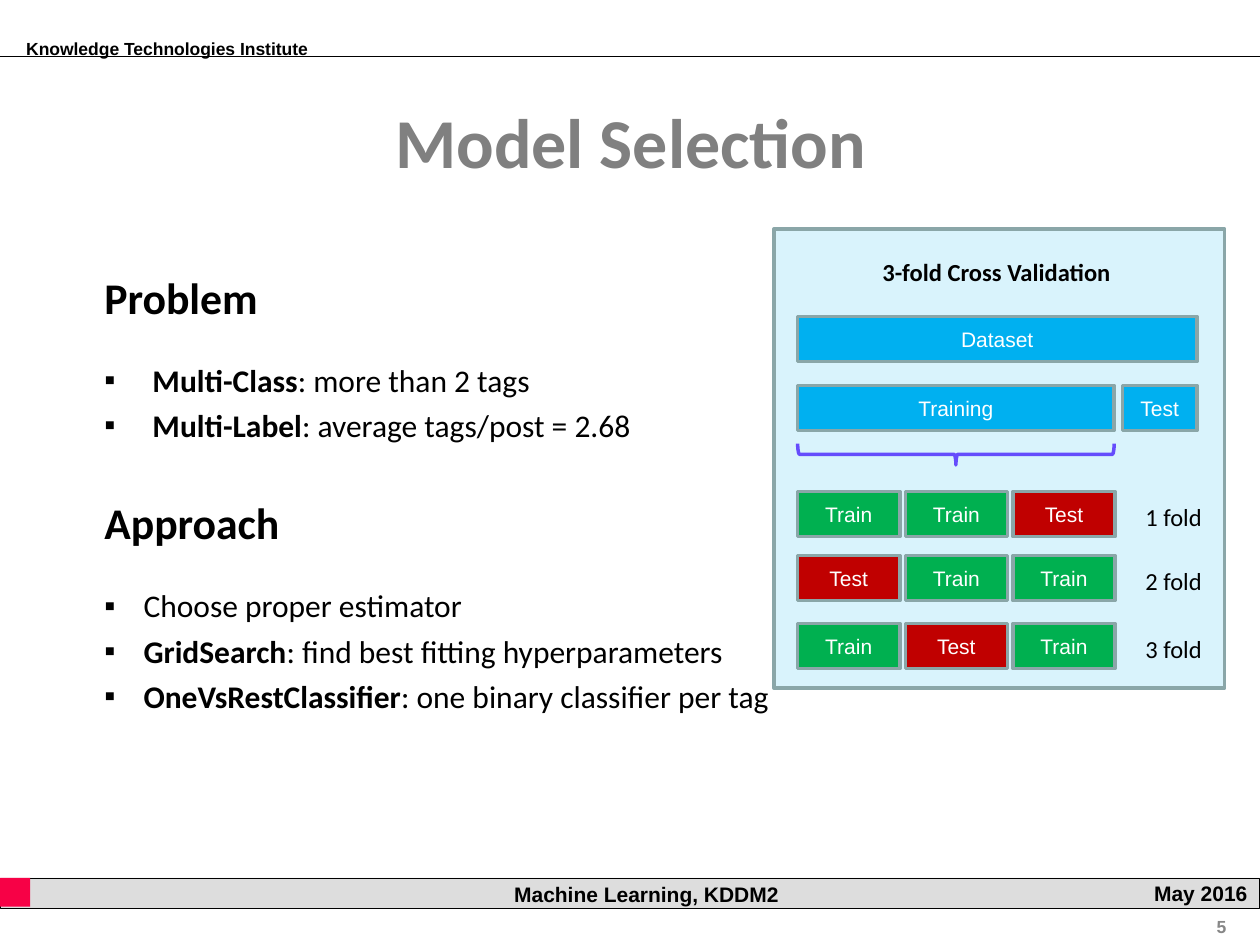
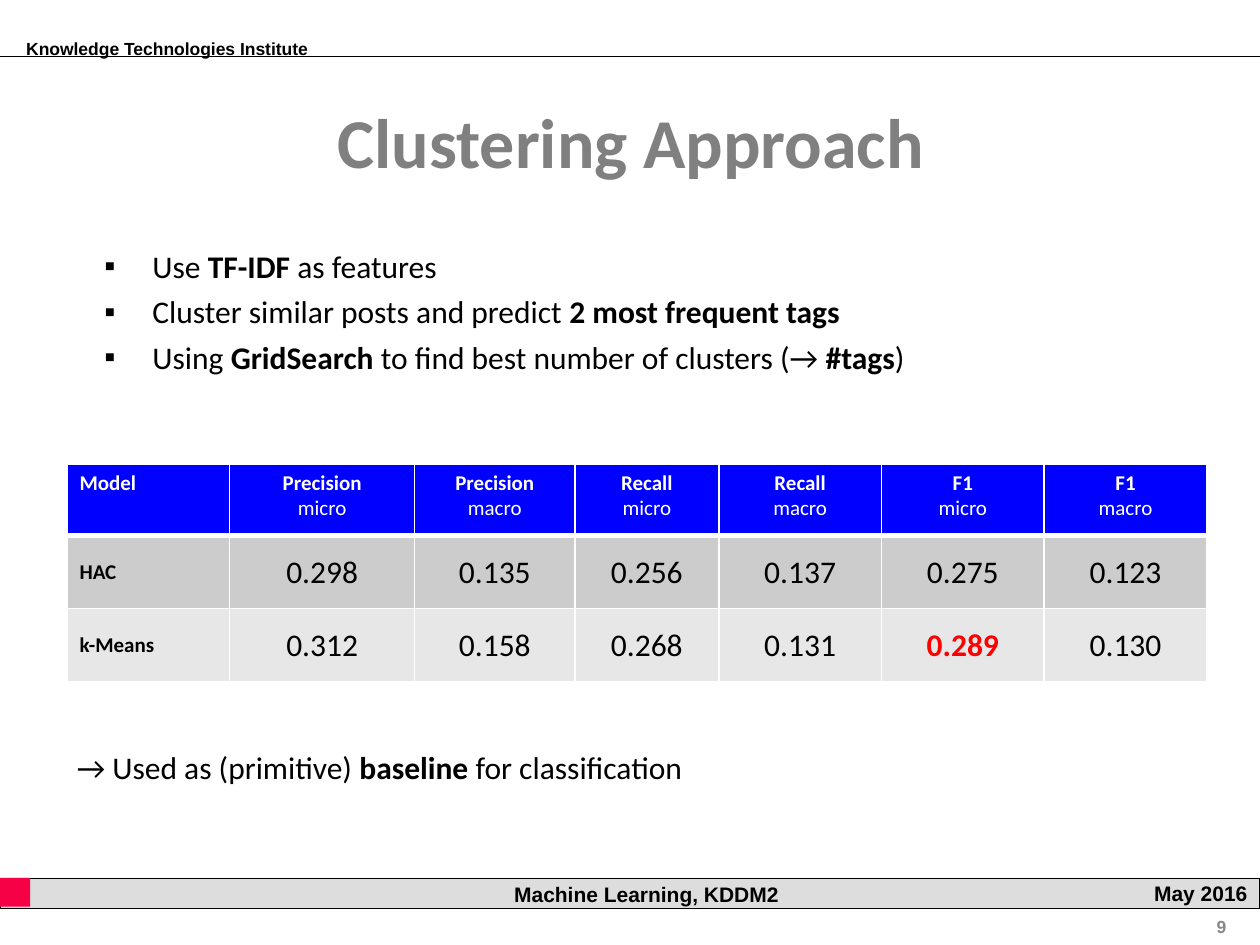
from dataclasses import dataclass
from typing import NamedTuple, Optional

from lxml import etree
from pptx import Presentation
from pptx.dml.color import RGBColor
from pptx.enum.shapes import MSO_CONNECTOR, MSO_SHAPE
from pptx.enum.text import MSO_ANCHOR, MSO_AUTO_SIZE, PP_ALIGN
from pptx.oxml.ns import qn
from pptx.util import Cm, Pt

RECTANGLE, BRACE = MSO_SHAPE.RECTANGLE, MSO_SHAPE.RIGHT_BRACE
LEFT, CENTER, RIGHT = PP_ALIGN.LEFT, PP_ALIGN.CENTER, PP_ALIGN.RIGHT
TOP, MIDDLE = MSO_ANCHOR.TOP, MSO_ANCHOR.MIDDLE


@dataclass(frozen=True)
class Theme:
    heading_font: str = "Calibri"
    label_font: str = "Arial"
    black: str = "000000"
    white: str = "FFFFFF"
    title: str = "808080"
    page_number: str = "878787"
    band: str = "DDDDDD"
    accent: str = "F70146"
    data: str = "00B0F0"
    train: str = "00B050"
    test: str = "C00000"
    outline: str = "8AA6A8"
    brace: str = "654CFC"
    table_head: str = "0000FF"
    table_rows: tuple[str, ...] = ("CCCCCC", "E7E7E7")
    best: str = "FF0000"
    title_size: int = 40
    heading_size: int = 25
    body_size: int = 18
    caption_size: int = 14
    label_size: int = 12
    small_size: int = 10


THEME = Theme()


class Frame(NamedTuple):
    """Left, top, width and height in centimetres."""
    left: float
    top: float
    width: float
    height: float

    def lengths(self) -> tuple:
        return tuple(Cm(value) for value in self)


class Style(NamedTuple):
    size: int
    color: str = THEME.black
    bold: bool = False
    font: str = THEME.heading_font
    align: PP_ALIGN = LEFT
    spacing: float = 1.0


class ListItem(NamedTuple):
    text: str
    indent: float = 0.97
    spacing: float = 1.2
    size: int = THEME.body_size
    space_before: int = 0


class Block(NamedTuple):
    text: str
    frame: Frame
    fill: str


LABEL = Style(THEME.label_size, bold=True, font=THEME.label_font)
BLOCK = LABEL._replace(color=THEME.white, bold=False, align=CENTER)
CAPTION = Style(THEME.caption_size, align=CENTER, spacing=1.2)
TITLE = Style(THEME.title_size, THEME.title, True, align=CENTER)
BODY = Style(THEME.body_size)

# Cross validation diagram
DIAGRAM_LEFT = 16.08
BLOCK_HEIGHT = 0.91
TRAINING = Frame(DIAGRAM_LEFT, 7.77, 6.38, BLOCK_HEIGHT)
SIDE_LEFT = 22.63
FOLD_WIDTH, FOLD_PITCH = 2.06, 2.17
FOLD_TOPS = (9.91, 11.2, 12.57)
FOLDS = (("Train", "Train", "Test"), ("Test", "Train", "Train"), ("Train", "Test", "Train"))
FOLD_FILLS = {"Train": THEME.train, "Test": THEME.test}
DATA_BLOCKS = (
    Block("Dataset", Frame(DIAGRAM_LEFT, 6.38, 8.05, BLOCK_HEIGHT), THEME.data),
    Block("Training", TRAINING, THEME.data),
    Block("Test", Frame(SIDE_LEFT, TRAINING.top, 1.5, BLOCK_HEIGHT), THEME.data),
)

# List and table content; ** switches bold on and off
SELECTION_ITEMS = (
    ListItem("**Problem**", 0, size=THEME.heading_size),
    ListItem("**Multi-Class**: more than 2 tags", spacing=2),
    ListItem("**Multi-Label**: average tags/post = 2.68"),
    ListItem("**Approach**", 0, size=THEME.heading_size, space_before=24),
    ListItem("Choose proper estimator", 0.79, 2),
    ListItem("**GridSearch**: find best fitting hyperparameters", 0.79),
    ListItem("**OneVsRestClassifier**: one binary classifier per tag", 0.79),
)
CLUSTERING_ITEMS = (
    ListItem("Use **TF-IDF** as features"),
    ListItem("Cluster similar posts and predict **2 most frequent tags**"),
    ListItem("Using **GridSearch** to find best number of clusters (→ **#tags**)"),
)
HEADER = ("Model", "Precision\nmicro", "Precision\nmacro", "Recall\nmicro",
          "Recall\nmacro", "F1\nmicro", "F1\nmacro")
SCORES = (
    ("HAC", "0.298", "0.135", "0.256", "0.137", "0.275", "0.123"),
    ("k-Means", "0.312", "0.158", "0.268", "0.131", "0.289", "0.130"),
)
BEST_SCORE = "0.289"
COLUMN_WIDTHS = (3.28, 3.73, 3.23, 2.9, 3.28, 3.28, 3.28)
ROW_HEIGHTS = (1.45, 1.47, 1.47)


# Text helpers
def format_paragraph(paragraph, style: Style) -> None:
    paragraph.alignment = style.align
    paragraph.line_spacing = style.spacing
    paragraph.space_before = Pt(0)
    for run in paragraph.runs:
        run.font.name = style.font
        run.font.size = Pt(style.size)
        run.font.bold = style.bold
        run.font.color.rgb = RGBColor.from_string(style.color)


def write_text(text_frame, text: str, style: Style, anchor: MSO_ANCHOR = TOP) -> None:
    text_frame.word_wrap = True
    text_frame.auto_size = MSO_AUTO_SIZE.NONE
    text_frame.vertical_anchor = anchor
    text_frame.text = text
    for paragraph in text_frame.paragraphs:
        format_paragraph(paragraph, style)


def write_marked(paragraph, text: str, style: Style) -> None:
    parts = text.split("**")
    emphasis = [index % 2 == 1 for index, part in enumerate(parts) if part]
    for part in filter(None, parts):
        paragraph.add_run().text = part
    format_paragraph(paragraph, style)
    for run, bold in zip(paragraph.runs, emphasis):
        run.font.bold = bold


def set_bullet(paragraph, indent: float) -> None:
    properties = paragraph._p.get_or_add_pPr()
    properties.set("marL", str(Cm(indent)))
    properties.set("indent", str(-Cm(indent)))
    if indent:
        etree.SubElement(properties, qn("a:buFont"), typeface=THEME.label_font)
        etree.SubElement(properties, qn("a:buChar"), char="▪")
    else:
        etree.SubElement(properties, qn("a:buNone"))


# Shape helpers
def place(shape, frame: Frame) -> None:
    shape.left, shape.top, shape.width, shape.height = frame.lengths()


def add_text(slide, frame: Frame, text: str, style: Style):
    shape = slide.shapes.add_textbox(*frame.lengths())
    write_text(shape.text_frame, text, style)
    return shape


def add_box(slide, frame: Frame, fill: Optional[str], line: Optional[str] = None,
            width: float = 2, kind: MSO_SHAPE = RECTANGLE):
    shape = slide.shapes.add_shape(kind, *frame.lengths())
    shape.shadow.inherit = False
    if fill:
        shape.fill.solid()
        shape.fill.fore_color.rgb = RGBColor.from_string(fill)
    else:
        shape.fill.background()
    if line:
        shape.line.color.rgb = RGBColor.from_string(line)
        shape.line.width = Pt(width)
    else:
        shape.line.fill.background()
    return shape


def add_block(slide, block: Block) -> None:
    shape = add_box(slide, block.frame, block.fill, THEME.outline)
    write_text(shape.text_frame, block.text, BLOCK, MIDDLE)


# Shared slide parts
def add_page(presentation, title: str, number: int, body: Frame, items: tuple[ListItem, ...]):
    slide = presentation.slides.add_slide(presentation.slide_layouts[1])
    rule = slide.shapes.add_connector(MSO_CONNECTOR.STRAIGHT, 0, Cm(1.14), Cm(25.4), Cm(1.14))
    rule.line.color.rgb = RGBColor.from_string(THEME.black)
    rule.line.width = Pt(0.75)
    etree.SubElement(rule._element.spPr, qn("a:effectLst"))
    small = LABEL._replace(size=THEME.small_size)
    institute = add_text(slide, Frame(0.33, 0.64, 6.5, 0.69), "Knowledge Technologies Institute", small)
    institute.text_frame.margin_left = Cm(0.2)

    # Footer band
    band = add_box(slide, Frame(0.02, 17.7, 25.38, 0.61), THEME.band, THEME.black, 0.5)
    write_text(band.text_frame, "May 2016", LABEL._replace(align=RIGHT), MIDDLE)
    add_box(slide, Frame(0, 17.7, 0.61, 0.58), THEME.accent)
    add_text(slide, Frame(8.92, 17.65, 8.23, 0.61), "Machine Learning, KDDM2",
             LABEL._replace(align=CENTER))
    add_text(slide, Frame(22.4, 18.34, 2.57, 0.69), str(number),
             small._replace(color=THEME.page_number, align=RIGHT))

    # Title and list
    place(slide.shapes.title, Frame(1.3, 1.35, 22.83, 2.97))
    write_text(slide.shapes.title.text_frame, title, TITLE, MIDDLE)
    placeholder = slide.placeholders[1]
    place(placeholder, body)
    text_frame = placeholder.text_frame
    text_frame.word_wrap = True
    text_frame.auto_size = MSO_AUTO_SIZE.NONE
    for index, item in enumerate(items):
        paragraph = text_frame.add_paragraph() if index else text_frame.paragraphs[0]
        set_bullet(paragraph, item.indent)
        write_marked(paragraph, item.text, Style(item.size, spacing=item.spacing))
        paragraph.space_before = Pt(item.space_before)
    return slide


def add_cross_validation(slide) -> None:
    panel = add_box(slide, Frame(15.6, 4.62, 9.09, 9.25), THEME.data, THEME.outline)
    color = panel._element.spPr.find(qn("a:solidFill"))[0]
    etree.SubElement(color, qn("a:alpha"), val="15000")
    add_text(slide, Frame(16.05, 4.93, 8.08, 0.91), "3-fold Cross Validation",
             CAPTION._replace(bold=True))
    for block in DATA_BLOCKS:
        add_block(slide, block)

    # Brace turned to span the training block
    depth, middle = 0.43, 9.16
    brace = add_box(slide, Frame(TRAINING.left + (TRAINING.width - depth) / 2,
                                 middle - TRAINING.width / 2, depth, TRAINING.width),
                    None, THEME.brace, kind=BRACE)
    brace.rotation = 90

    # Fold rows
    for number, (top, fold) in enumerate(zip(FOLD_TOPS, FOLDS), 1):
        for column, name in enumerate(fold):
            frame = Frame(DIAGRAM_LEFT + column * FOLD_PITCH, top, FOLD_WIDTH, BLOCK_HEIGHT)
            add_block(slide, Block(name, frame, FOLD_FILLS[name]))
        add_text(slide, Frame(SIDE_LEFT, top - 0.03, FOLD_WIDTH, 0.95), f"{number} fold", CAPTION)


# Score table
def format_cell(cell, row: int, fill: str) -> None:
    properties = cell._tc.get_or_add_tcPr()
    heavy = {0: "lnB", 1: "lnT"}.get(row)
    for edge in ("lnL", "lnR", "lnT", "lnB"):
        line = etree.SubElement(properties, qn(f"a:{edge}"), w=str(Pt(3 if edge == heavy else 1)))
        solid = etree.SubElement(line, qn("a:solidFill"))
        etree.SubElement(solid, qn("a:srgbClr"), val=THEME.white)
    cell.fill.solid()
    cell.fill.fore_color.rgb = RGBColor.from_string(fill)


def add_scores(slide) -> None:
    rows = (HEADER, *SCORES)
    frame = Frame(1.35, 9.35, sum(COLUMN_WIDTHS), sum(ROW_HEIGHTS))
    table = slide.shapes.add_table(len(rows), len(HEADER), *frame.lengths()).table
    table.first_row = table.horz_banding = False
    for column, width in zip(table.columns, COLUMN_WIDTHS):
        column.width = Cm(width)
    for row, height in zip(table.rows, ROW_HEIGHTS):
        row.height = Cm(height)
    for row, texts in enumerate(rows):
        for column, text in enumerate(texts):
            cell = table.cell(row, column)
            format_cell(cell, row, (THEME.table_head, *THEME.table_rows)[row])
            cell.vertical_anchor = MIDDLE if row else TOP
            cell.text_frame.text = text
            is_score = row > 0 and column > 0
            is_best = text == BEST_SCORE
            color = THEME.best if is_best else THEME.black if row else THEME.white
            style = Style(THEME.body_size if is_score else THEME.label_size, color,
                          align=CENTER if column else LEFT)
            for line, paragraph in enumerate(cell.text_frame.paragraphs):
                bold = is_best if is_score else line == 0
                format_paragraph(paragraph, style._replace(bold=bold))
            if is_score:
                cell.margin_left = cell.margin_right = cell.margin_top = Cm(0.03)
                cell.margin_bottom = 0


def main() -> None:
    presentation = Presentation()
    presentation.slide_width, presentation.slide_height = Cm(25.4), Cm(19.05)

    selection = add_page(presentation, "Model Selection", 5,
                         Frame(1.85, 5.11, 19.91, 9.58), SELECTION_ITEMS)
    add_cross_validation(selection)

    clustering = add_page(presentation, "Clustering Approach", 9,
                          Frame(1.85, 4.7, 19.91, 3), CLUSTERING_ITEMS)
    add_scores(clustering)
    conclusion = add_text(clustering, Frame(1.3, 14.96, 21.56, 1.02), "", BODY)
    write_marked(conclusion.text_frame.paragraphs[0],
                 "→ Used as (primitive) **baseline** for classification", BODY)
    presentation.save("out.pptx")


if __name__ == "__main__":
    main()
